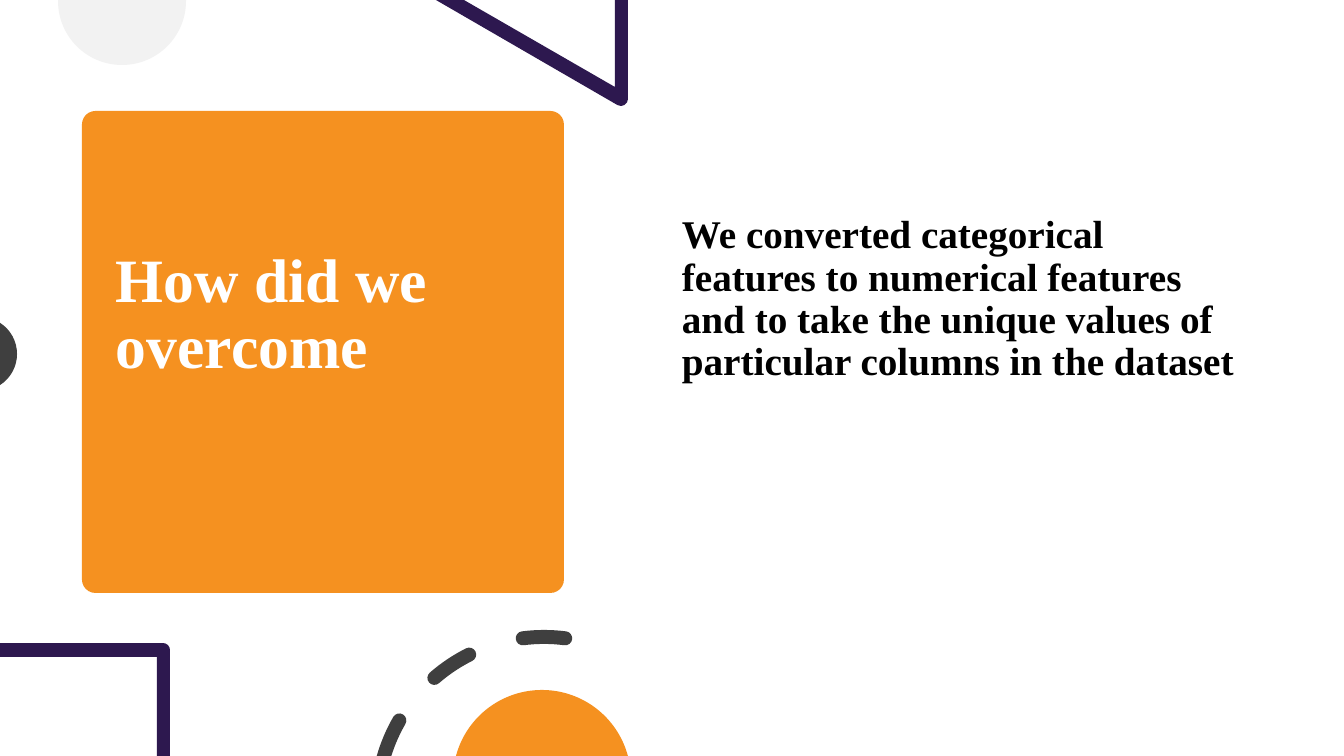
from math import cos, radians, sin, tan

from lxml import etree
from pptx import Presentation
from pptx.dml.color import RGBColor
from pptx.enum.shapes import MSO_SHAPE
from pptx.enum.text import MSO_ANCHOR
from pptx.oxml.ns import qn
from pptx.util import Pt

ROUNDED = MSO_SHAPE.ROUNDED_RECTANGLE
TOP, MIDDLE = MSO_ANCHOR.TOP, MSO_ANCHOR.MIDDLE
PX = 914400 / 100.8
WIDTH, HEIGHT = 1344, 756
COLORS = {"orange": "F59120", "purple": "2D184F", "dark": "3F3F3F",
          "light": "F2F2F2", "white": "FFFFFF", "black": "000000"}
RING = (544, 804)
RING_RADIUS = 167
HALF_STROKE = 7


def emu(px):
    return round(px * PX)


def rgb(name):
    return RGBColor.from_string(COLORS[name])


def paint(s, color):
    s.fill.solid()
    s.fill.fore_color.rgb = rgb(color)
    s.line.fill.background()
    s.shadow.inherit = False


def arc(center, radius, start, end, pieces=1):
    """Start point, then three Bezier points, marked True, for each piece."""
    cx, cy = center
    step = radians(end - start) / pieces
    pull = 4 / 3 * tan(step / 4)

    def spot(a, k):
        return (cx + radius * (cos(a) - k * sin(a)),
                cy + radius * (sin(a) + k * cos(a)), True)

    points = [spot(radians(start), 0)[:2]]
    for i in range(pieces):
        a = radians(start) + i * step
        points += [spot(a, pull), spot(a + step, -pull), spot(a + step, 0)]
    return points


def ring_dash(start, end, inner_start=None):
    """Outline of a round-capped ring dash; inner_start gives it a flat start."""
    def cap(angle, turn):
        center = arc(RING, RING_RADIUS, angle, angle)[0]
        return arc(center, HALF_STROKE, angle + turn, angle + turn + 180, 2)[1:]

    flat = inner_start is not None
    outline = arc(RING, RING_RADIUS + HALF_STROKE, start, end) + cap(end, 0)
    outline += arc(RING, RING_RADIUS - HALF_STROKE, end, inner_start if flat else start)[1:]
    return outline if flat else outline + cap(start, 180)


def bend(s, contours):
    """Merge each three marked line segments into one Bezier curve."""
    path = s._element.find(".//" + qn("a:path"))
    segments = [e for e in path if e.tag != qn("a:close")]
    points = [point for contour in contours for point in contour]
    marked = [e for e, point in zip(segments, points) if len(point) == 3]
    for i in range(0, len(marked), 3):
        curve = etree.Element(qn("a:cubicBezTo"))
        marked[i].addprevious(curve)
        for segment in marked[i:i + 3]:
            curve.append(segment[0])
            path.remove(segment)


def add_outline(slide, color, *contours):
    first, *others = [[(emu(p[0]), emu(p[1])) for p in c] for c in contours]
    builder = slide.shapes.build_freeform(*first[0])
    builder.add_line_segments(first[1:])
    for contour in others:
        builder.move_to(*contour[0])
        builder.add_line_segments(contour[1:])
    s = builder.convert_to_shape()
    bend(s, contours)
    paint(s, color)


def add_card(slide, x, y, w, h, color):
    s = slide.shapes.add_shape(ROUNDED, *map(emu, (x, y, w, h)))
    s.adjustments[0] = 0.028
    paint(s, color)


def add_text(slide, x, y, w, h, text, size, color, anchor=TOP, bottom=5):
    tf = slide.shapes.add_textbox(*map(emu, (x, y, w, h))).text_frame
    frame = {"word_wrap": True, "vertical_anchor": anchor, "margin_bottom": emu(bottom)}
    for name, value in frame.items():
        setattr(tf, name, value)
    p = tf.paragraphs[0]
    p.line_spacing = 0.9
    r = p.add_run()
    r.text = text
    for name, value in {"name": "Times New Roman", "size": Pt(size), "bold": True}.items():
        setattr(r.font, name, value)
    r.font.color.rgb = rgb(color)


def main():
    prs = Presentation()
    prs.slide_width, prs.slide_height = emu(WIDTH), emu(HEIGHT)
    slide = prs.slides.add_slide(prs.slide_layouts[6])

    add_card(slide, 82, 111, 482, 482, "orange")
    add_text(slide, 106, 123, 398, 460, "How did we overcome", 44, "white", MIDDLE, bottom=80)

    add_outline(slide, "light", [(186, 0)] + arc((122, 1), 64, 0, 180, 2) + [(58, 0)])
    triangle = [(628, 0), (615, 0), (615, 87), (464, 0), (436, 0)]
    add_outline(slide, "purple", triangle + arc((621, 99), HALF_STROKE, 120, 0, 2))
    add_outline(slide, "dark", arc((-20, 354), 37, -57, 57, 2))

    add_text(slide, 672, 210, 580, 257,
             "We converted categorical features to numerical features and to take "
             "the unique values of particular columns in the dataset", 28, "black")

    corner = [(0, 643), (0, 657), (157, 657), (157, HEIGHT), (170, HEIGHT)]
    add_outline(slide, "purple", corner + arc((163, 650), HALF_STROKE, 0, -90))
    add_outline(slide, "dark", ring_dash(196, 210, inner_start=197.5),
                ring_dash(229, 243.4), ring_dash(262.7, 277.3))
    add_outline(slide, "orange", arc((542, 779), 89, 195, 345, 2))

    prs.save("out.pptx")


if __name__ == "__main__":
    main()
